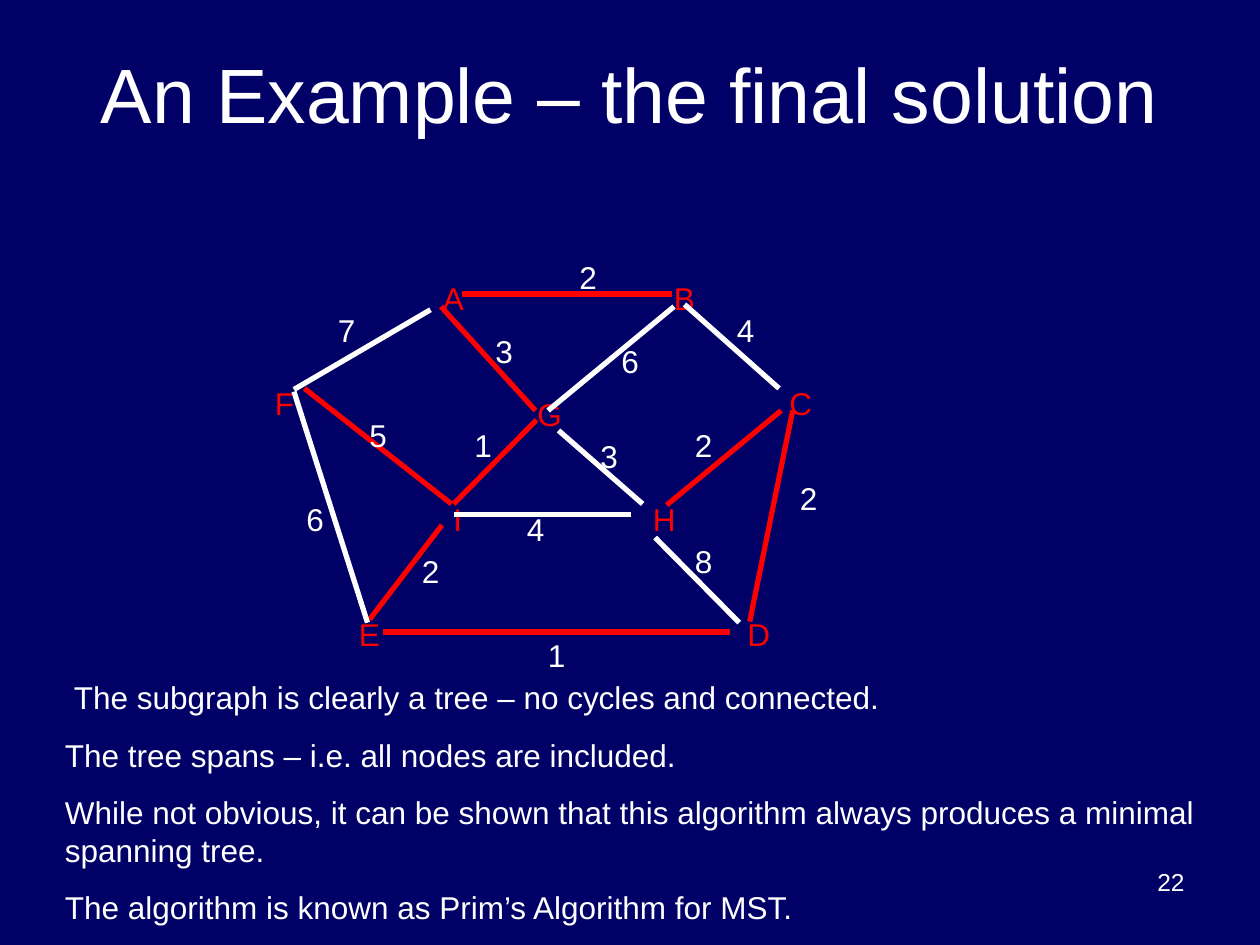
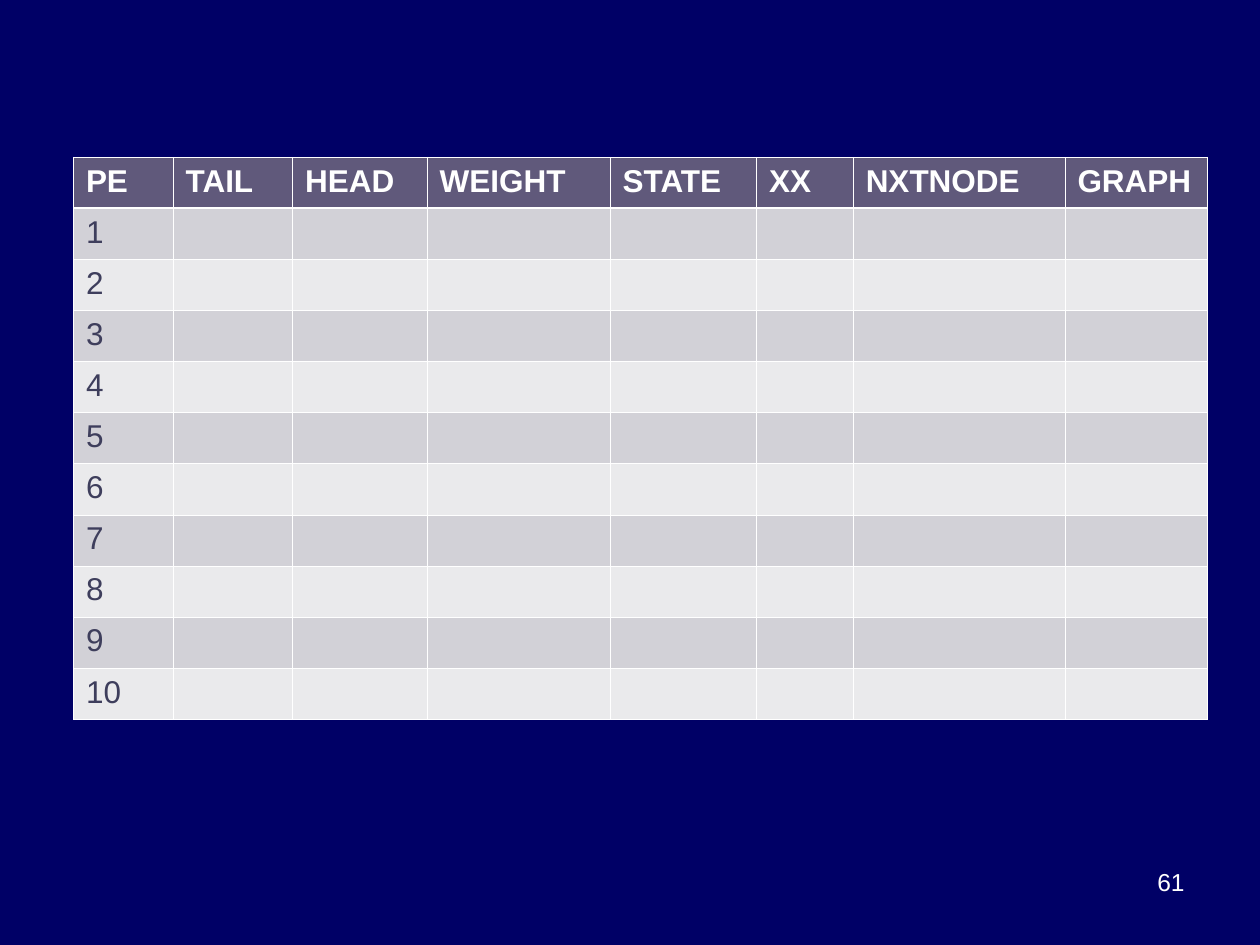
from lxml import etree
from pptx import Presentation
from pptx import util as u
from pptx.dml.color import RGBColor
from pptx.enum import shapes, text
from pptx.oxml import ns

FONT = "Arial"
NAVY, WHITE, RED = "000066", "FFFFFF", "FF0000"
HEAD, INK = "60597B", "3E3E5C"
BANDS = ("D2D1D7", "EAEAEC")
STEP = 25.4 / 120

TITLE = "An Example – the final solution"
NOTES = [
    "The subgraph is clearly a tree – no cycles and connected.",
    "The tree spans – i.e. all nodes are included.",
    "While not obvious, it can be shown that this algorithm always "
    "produces a minimal spanning tree.",
    "The algorithm is known as Prim’s Algorithm for MST.",
]
NODES = {
    "A": (41, 26), "B": (63, 26), "C": (74, 36),
    "D": (70, 58), "E": (33, 58), "F": (25, 36),
    "G": (50, 37), "H": (61, 47), "I": (42, 47),
}
# weight, label place, line start, line end
TREE = [
    ("2", (54, 24), (44, 28), (64, 28)),
    ("5", (34, 39), (29, 37), (43, 48)),
    ("3", (46, 31), (42, 29.2), (51, 39.1)),
    ("1", (44, 40), (51.1, 40), (43.2, 48)),
    ("2", (65, 40), (74.4, 39.1), (63.5, 48.1)),
    ("2", (75, 45), (75.5, 39.1), (71.4, 59.2)),
    ("2", (39, 52), (42.1, 50), (35.2, 59)),
    ("1", (51, 60), (36.5, 60.2), (69.5, 60.2)),
]
REST = [
    ("7", (31, 29), (28, 37.1), (41, 29.5)),
    ("6", (58, 32), (64.2, 29.2), (52.2, 39.1)),
    ("3", (56, 41), (53.2, 41), (61.2, 48)),
    ("4", (69, 29), (65.2, 29), (74.2, 37)),
    ("8", (65, 51), (62.4, 51.2), (70.4, 59.3)),
    ("4", (49, 48), (43.2, 49), (60.1, 49)),
    ("6", (28, 47), (28, 37.3), (35, 59.3)),
]
COLS = [
    ("PE", 2.01), ("TAIL", 2.41), ("HEAD", 2.71), ("WEIGHT", 3.69),
    ("STATE", 2.95), ("XX", 1.95), ("NXTNODE", 4.27), ("GRAPH", 2.87),
]
ROWS = 10


def color(code):
    return RGBColor.from_string(code)


def style(par, size=18, tint=WHITE, bold=False):
    font = par.font
    font.name, font.size, font.bold = FONT, u.Pt(size), bold
    font.color.rgb = color(tint)


def write(slide, lines, box, size=18, tint=WHITE, align=text.PP_ALIGN.LEFT):
    frame = slide.shapes.add_textbox(*map(u.Cm, box)).text_frame
    frame.word_wrap = True
    for i, line in enumerate(lines):
        par = frame.add_paragraph() if i else frame.paragraphs[0]
        par.text, par.alignment = line, align
        if i:
            par.space_before = u.Pt(11.2)
        style(par, size, tint)
    return frame


def label(slide, word, spot, tint=WHITE):
    x, y = spot
    write(slide, [word], (x * STEP, y * STEP, 1.06, 1.02), tint=tint)


def link(slide, start, end, tint):
    ends = [u.Cm(n * STEP) for n in start + end]
    line = slide.shapes.add_connector(shapes.MSO_CONNECTOR.STRAIGHT, *ends)
    line.line.color.rgb = color(tint)
    line.line.width = u.Pt(3)
    etree.SubElement(line._element.spPr, ns.qn("a:effectLst"))


def border(cell, **widths):
    props = cell._tc.get_or_add_tcPr()
    for side in "LRTB":
        edge = etree.SubElement(props, ns.qn("a:ln" + side))
        edge.set("w", str(u.Pt(widths.get(side, 0.45))))
        fill = etree.SubElement(edge, ns.qn("a:solidFill"))
        etree.SubElement(fill, ns.qn("a:srgbClr")).set("val", WHITE)


def start(deck, number):
    slide = deck.slides.add_slide(deck.slide_layouts[6])
    back = slide.background.fill
    back.solid()
    back.fore_color.rgb = color(NAVY)
    write(slide, [number], (18.2, 17.35, 5.93, 1.32), 14,
          align=text.PP_ALIGN.RIGHT)
    return slide


def graph(deck):
    slide = start(deck, "22")
    title = write(slide, [TITLE], (1.27, 0.76, 22.86, 2.2), 44,
                  align=text.PP_ALIGN.CENTER)
    title.vertical_anchor = text.MSO_ANCHOR.MIDDLE
    for name, spot in NODES.items():
        label(slide, name, spot, RED)
    for edges, tint in ((TREE, RED), (REST, WHITE)):
        for _, _, head, tail in edges:
            link(slide, head, tail, tint)
    for weight, spot, _, _ in TREE + REST:
        label(slide, weight, spot)
    notes = write(slide, NOTES, (1.06, 13.55, 23.92, 5.26))
    first = notes.paragraphs[0]._p.get_or_add_pPr()
    first.set("indent", str(u.Cm(0.18)))


def grid(deck):
    slide = start(deck, "61")
    wide = sum(size for _, size in COLS)
    box = map(u.Cm, (1.48, 3.17, wide, 11.33))
    table = slide.shapes.add_table(ROWS + 1, len(COLS), *box).table
    for col, (_, size) in zip(table.columns, COLS):
        col.width = u.Cm(size)
    data = [[name for name, _ in COLS]]
    data += [[str(n)] + [""] * (len(COLS) - 1) for n in range(1, ROWS + 1)]
    for r, row in enumerate(data):
        for c, word in enumerate(row):
            cell = table.cell(r, c)
            cell.text = word
            style(cell.text_frame.paragraphs[0], tint=INK if r else WHITE,
                  bold=not r)
            border(cell, T=1.47 if r == 1 else 0.45, B=0.45 if r else 1.47)
            cell.fill.solid()
            cell.fill.fore_color.rgb = color(BANDS[(r - 1) % 2] if r else HEAD)


def main():
    deck = Presentation()
    deck.slide_width, deck.slide_height = u.Cm(25.4), u.Cm(19.05)
    graph(deck)
    grid(deck)
    deck.save("out.pptx")


if __name__ == "__main__":
    main()
